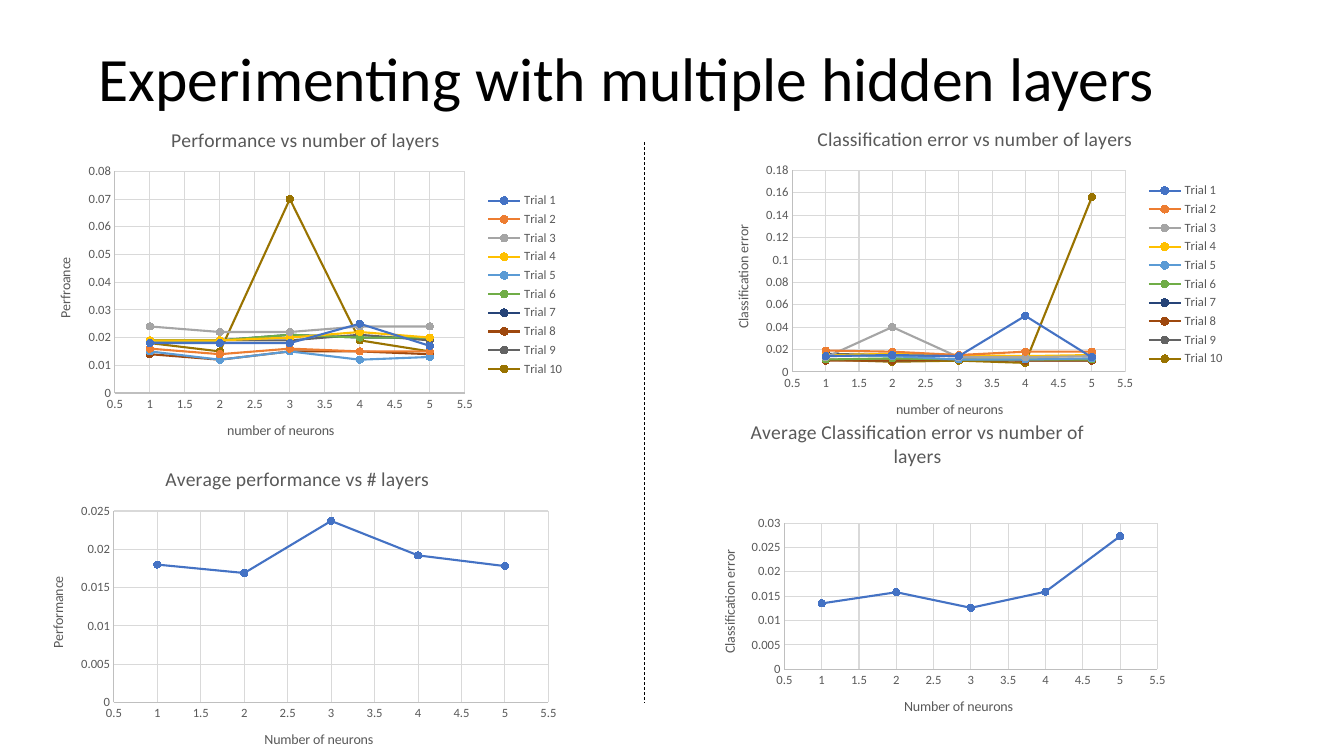
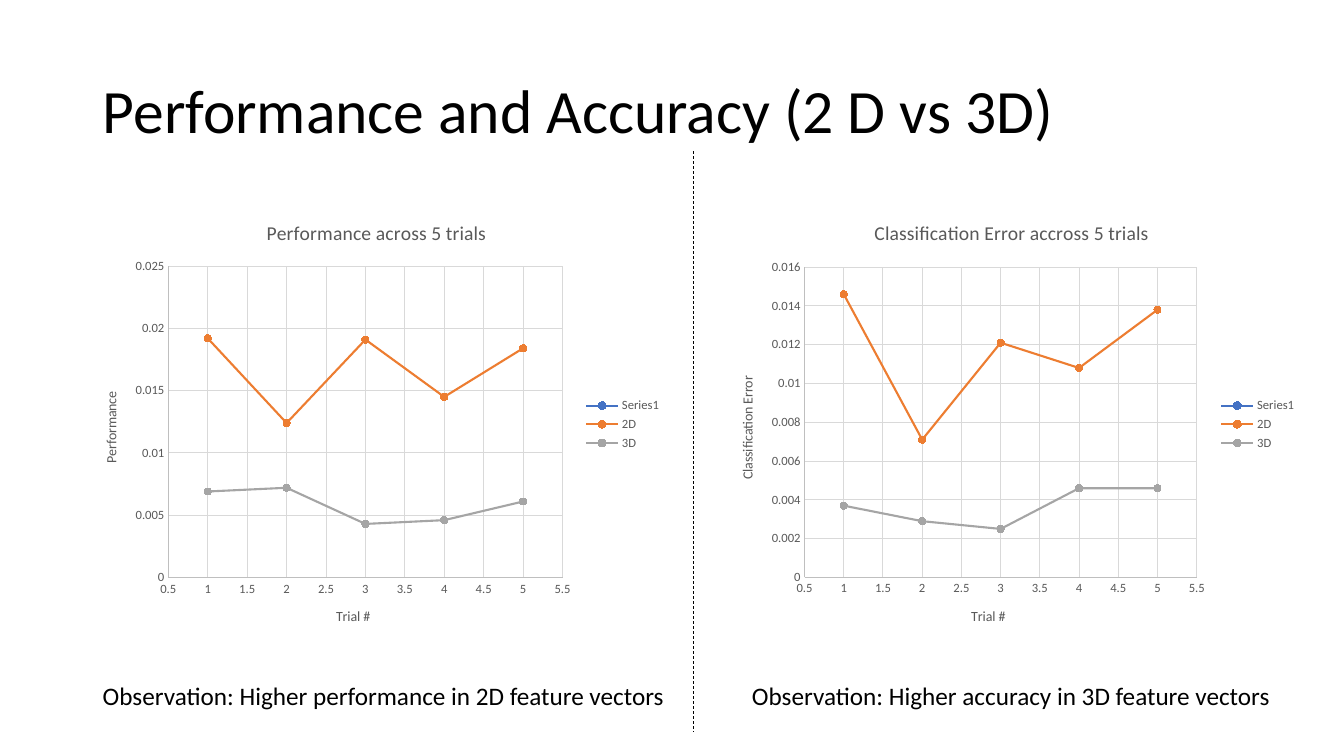
from pptx import Presentation
from pptx.chart.data import XyChartData
from pptx.dml.color import RGBColor
from pptx.enum.chart import XL_CHART_TYPE, XL_LEGEND_POSITION, XL_MARKER_STYLE, XL_TICK_MARK
from pptx.enum.dml import MSO_LINE
from pptx.enum.shapes import MSO_CONNECTOR
from pptx.enum.text import MSO_ANCHOR, PP_ALIGN
from pptx.oxml import parse_xml
from pptx.oxml.ns import nsdecls, qn
from pptx.util import Inches, Pt

STEPS = [1, 2, 3, 4, 5]
BLANK = [None] * len(STEPS)

TRIAL_PERFORMANCE = [
    [0.018, 0.018, 0.018, 0.025, 0.017],
    [0.016, 0.014, 0.016, 0.015, 0.015],
    [0.024, 0.022, 0.022, 0.024, 0.024],
    [0.019, 0.019, 0.02, 0.022, 0.02],
    [0.015, 0.012, 0.015, 0.012, 0.013],
    [0.019, 0.019, 0.021, 0.02, 0.02],
    [0.019, 0.019, 0.021, 0.02, 0.02],
    [0.014, 0.012, 0.015, 0.015, 0.014],
    [0.019, 0.019, 0.019, 0.021, 0.019],
    [0.018, 0.015, 0.07, 0.019, 0.015],
]
TRIAL_ERROR = [
    [0.014, 0.015, 0.014, 0.05, 0.013],
    [0.019, 0.018, 0.015, 0.018, 0.018],
    [0.013, 0.04, 0.013, 0.013, 0.014],
    [0.015, 0.016, 0.015, 0.014, 0.015],
    [0.015, 0.014, 0.011, 0.011, 0.012],
    [0.011, 0.012, 0.011, 0.011, 0.011],
    [0.016, 0.015, 0.014, 0.014, 0.014],
    [0.01, 0.01, 0.011, 0.01, 0.01],
    [0.011, 0.01, 0.011, 0.01, 0.01],
    [0.011, 0.009, 0.01, 0.008, 0.156],
]
AVERAGE_PERFORMANCE = {
    "Series 1": [0.018, 0.0169, 0.0237, 0.0192, 0.0178],
    "Series 2": BLANK,
}
AVERAGE_ERROR = {"Series 1": [0.0135, 0.0158, 0.0126, 0.0159, 0.0273]}
FEATURE_PERFORMANCE = {
    "Series1": BLANK,
    "2D": [0.0192, 0.0124, 0.0191, 0.0145, 0.0184],
    "3D": [0.0069, 0.0072, 0.0043, 0.0046, 0.0061],
}
FEATURE_ERROR = {
    "Series1": BLANK,
    "2D": [0.0146, 0.0071, 0.0121, 0.0108, 0.0138],
    "3D": [0.0037, 0.0029, 0.0025, 0.0046, 0.0046],
}


def rgb(value):
    return RGBColor.from_string(value)


def trials(rows):
    return {f"Trial {number}": row for number, row in enumerate(rows, 1)}


def place(element, index, **fractions):
    """Give a chart part a manual layout, in fractions of the chart's size."""
    layout = element.find(qn("c:layout"))
    if layout is not None:
        element.remove(layout)
    target = '<c:layoutTarget val="inner"/>' if "w" in fractions else ""
    modes = '<c:xMode val="edge"/><c:yMode val="edge"/>'
    sizes = "".join(f'<c:{key} val="{value:.4f}"/>' for key, value in fractions.items())
    element.insert(index, parse_xml(
        f'<c:layout {nsdecls("c")}><c:manualLayout>{target}{modes}{sizes}'
        "</c:manualLayout></c:layout>"))


def drop_blank_points(chart):
    """Leave blank values out of the stored numbers, as the file format asks."""
    for point in list(chart._chartSpace.iter(qn("c:pt"))):
        if point.findtext(qn("c:v")) == "None":
            point.getparent().remove(point)


class Deck:
    FONT = "Calibri"
    TEXT = "000000"
    CHART_TEXT = "595959"
    AXIS = "BFBFBF"
    GRID = "D9D9D9"
    SERIES = ["4472C4", "ED7D31", "A5A5A5", "FFC000", "5B9BD5",
              "70AD47", "264478", "9E480E", "636363", "997300"]

    def __init__(self):
        self.presentation = Presentation()
        self.presentation.slide_width = Inches(13.33)
        self.presentation.slide_height = Inches(7.5)
        self.page = None

    def style(self, font, size, color):
        font.name = self.FONT
        font.size = Pt(size)
        font.bold = False
        font.color.rgb = rgb(color)

    def stroke(self, line, color, width):
        line.color.rgb = rgb(color)
        line.width = Pt(width)

    def add_page(self, title, left, top, width):
        self.page = self.presentation.slides.add_slide(self.presentation.slide_layouts[5])
        box = self.page.shapes.title
        box.left, box.top = Inches(left), Inches(top)
        box.width, box.height = Inches(width), Inches(1.45)
        box.text_frame.text = title
        box.text_frame.vertical_anchor = MSO_ANCHOR.MIDDLE
        paragraph = box.text_frame.paragraphs[0]
        paragraph.alignment = PP_ALIGN.LEFT
        paragraph.line_spacing = 0.9
        self.style(paragraph.font, 44, self.TEXT)

    def add_divider(self, x, top, bottom):
        divider = self.page.shapes.add_connector(
            MSO_CONNECTOR.STRAIGHT, Inches(x), Inches(top), Inches(x), Inches(bottom))
        self.stroke(divider.line, self.TEXT, 0.5)
        divider.line.dash_style = MSO_LINE.DASH
        divider._element.spPr.append(parse_xml(f'<a:effectLst {nsdecls("a")}/>'))

    def add_note(self, text, left, width):
        box = self.page.shapes.add_textbox(Inches(left), Inches(6.7), Inches(width), Inches(0.4))
        box.text_frame.word_wrap = True
        box.text_frame.text = text
        self.style(box.text_frame.paragraphs[0].font, 18, self.TEXT)

    def set_title(self, owner, text, size):
        """Title a chart or an axis."""
        owner.has_title = True
        title = owner.chart_title if hasattr(owner, "chart_title") else owner.axis_title
        title.text_frame.text = text
        self.style(title.text_frame.paragraphs[0].font, size, self.CHART_TEXT)

    def style_axis(self, axis, title, low, high, step):
        self.set_title(axis, title, 10)
        axis.minimum_scale, axis.maximum_scale, axis.major_unit = low, high, step
        axis.major_tick_mark = axis.minor_tick_mark = XL_TICK_MARK.NONE
        axis.has_major_gridlines = True
        self.stroke(axis.major_gridlines.format.line, self.GRID, 0.75)
        self.stroke(axis.format.line, self.AXIS, 0.75)
        self.style(axis.tick_labels.font, 9, self.CHART_TEXT)
        axis.tick_labels.number_format = "General"
        axis.tick_labels.number_format_is_linked = False

    def add_scatter(self, title, frame, plot, axis_titles, scale, rows,
                    legend=True, title_at=None):
        """Draw a line scatter; frame and plot are left, top, width, height on the slide."""
        data = XyChartData()
        for name, values in rows.items():
            series = data.add_series(name)
            for x, y in zip(STEPS, values):
                series.add_data_point(x, y)
        chart = self.page.shapes.add_chart(
            XL_CHART_TYPE.XY_SCATTER_LINES, *map(Inches, frame), data).chart
        drop_blank_points(chart)
        self.style(chart.font, 10, self.TEXT)
        self.set_title(chart, title, 14)
        self.style_axis(chart.category_axis, axis_titles[0], 0.5, 5.5, 0.5)
        self.style_axis(chart.value_axis, axis_titles[1], 0, *scale)

        chart.has_legend = legend
        if legend:
            chart.legend.position = XL_LEGEND_POSITION.RIGHT
            chart.legend.include_in_layout = False
            self.style(chart.legend.font, 9, self.CHART_TEXT)

        chart.plots[0].vary_by_categories = False
        for series, color in zip(chart.plots[0].series, self.SERIES):
            series.smooth = False
            self.stroke(series.format.line, color, 1.5)
            series.marker.style = XL_MARKER_STYLE.CIRCLE
            series.marker.size = 5
            series.marker.format.fill.solid()
            series.marker.format.fill.fore_color.rgb = rgb(color)
            self.stroke(series.marker.format.line, color, 0.75)

        left, top, width, height = frame
        place(chart._chartSpace.chart.plotArea, 0,
              x=(plot[0] - left) / width, y=(plot[1] - top) / height,
              w=plot[2] / width, h=plot[3] / height)
        if title_at:
            place(chart.chart_title._element, 1,
                  x=(title_at[0] - left) / width, y=(title_at[1] - top) / height)

    def save(self):
        self.presentation.save("out.pptx")


def add_layers_page(deck):
    deck.add_page("Experimenting with multiple hidden layers", 0.88, 0.08, 10.78)
    deck.add_scatter(
        "Performance vs number of layers", (0.36, 1.09, 5.34, 3.47), (1.14, 1.7, 3.47, 2.2),
        ("number of neurons", "Perfroance"), (0.08, 0.01), trials(TRIAL_PERFORMANCE))
    deck.add_scatter(
        "Average performance vs # layers", (0.28, 4.46, 5.34, 3.18), (1.13, 5.07, 4.31, 1.9),
        ("Number of neurons", "Performance"), (0.025, 0.005),
        AVERAGE_PERFORMANCE, legend=False)
    deck.add_scatter(
        "Classification error vs number of layers", (7.09, 1.09, 5.16, 3.27),
        (7.86, 1.69, 3.3, 2), ("number of neurons", "Classification error"),
        (0.18, 0.02), trials(TRIAL_ERROR))
    deck.add_scatter(
        "Average Classification error vs number of layers", (6.95, 4.11, 4.71, 3.18),
        (7.78, 5.19, 3.7, 1.45), ("Number of neurons", "Classification error"),
        (0.03, 0.005), AVERAGE_ERROR, legend=False, title_at=(7.41, 4.11))
    deck.add_divider(6.39, 1.41, 6.97)


def add_features_page(deck):
    deck.add_page("Performance and Accuracy (2 D vs 3D)", 0.92, 0.4, 10.03)
    deck.add_scatter(
        "Performance across 5 trials", (0.81, 2, 5.85, 4.42), (1.67, 2.64, 3.91, 3.09),
        ("Trial #", "Performance"), (0.025, 0.005), FEATURE_PERFORMANCE)
    deck.add_scatter(
        "Classification Error accross 5 trials", (7.11, 2, 5.85, 4.42),
        (7.98, 2.65, 3.89, 3.08), ("Trial #", "Classification Error"),
        (0.016, 0.002), FEATURE_ERROR)
    deck.add_divider(6.88, 1.5, 7.26)
    deck.add_note("Observation: Higher accuracy in 3D feature vectors", 7.36, 5.6)
    deck.add_note("Observation: Higher performance in 2D feature vectors", 0.92, 6.66)


def main():
    deck = Deck()
    add_layers_page(deck)
    add_features_page(deck)
    deck.save()


if __name__ == "__main__":
    main()
